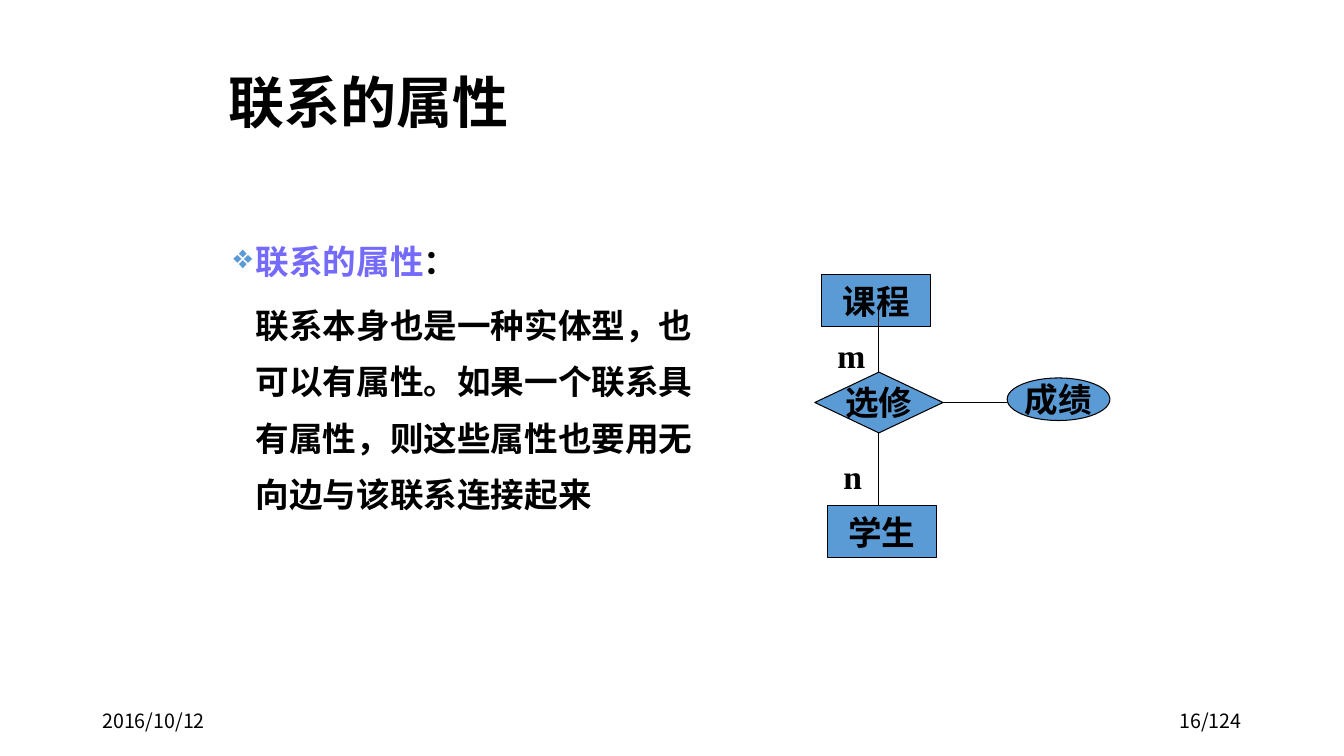
from dataclasses import dataclass
from lxml.etree import SubElement as Sub
from pptx import Presentation
from pptx.dml.color import RGBColor as RGB
from pptx.enum.shapes import MSO_CONNECTOR as LINK, MSO_SHAPE as SHAPE
from pptx.enum.text import MSO_ANCHOR as ANCHOR, PP_ALIGN as ALIGN
from pptx.oxml.ns import qn
from pptx.util import Pt


@dataclass(frozen=True)
class Theme:
    ink: RGB = RGB(0, 0, 0)
    blue: RGB = RGB(0x5B, 0x9B, 0xD5)
    violet: RGB = RGB(0x74, 0x6A, 0xFC)
    sans: str = "Noto Sans CJK SC"
    serif: str = "Times New Roman"
    head: int = 40
    body: int = 24
    foot: int = 14
    line: float = 0.75


class Deck:
    """Draws styled elements on the current slide."""

    def __init__(self, theme):
        self.theme = theme
        self.file = Presentation()
        self.file.slide_width, self.file.slide_height = Pt(960), Pt(540)
        self.slide = self.file.slides.add_slide(self.file.slide_layouts[6])

    def style(self, para, size, face, bold, align=ALIGN.LEFT):
        para.alignment = align
        font = para.font
        font.size, font.name, font.bold = Pt(size), face, bold
        font.color.rgb = self.theme.ink
        base = para._p.get_or_add_pPr().find(qn("a:defRPr"))
        Sub(base, qn("a:ea"), typeface=self.theme.sans)

    def text(self, words, box, size, face, bold=True, align=ALIGN.LEFT):
        frame = self.slide.shapes.add_textbox(*map(Pt, box)).text_frame
        frame.word_wrap = True
        frame.vertical_anchor = ANCHOR.MIDDLE
        para = frame.paragraphs[0]
        para.text = words
        self.style(para, size, face, bold, align)

    def node(self, kind, words, box):
        shape = self.slide.shapes.add_shape(kind, *map(Pt, box))
        shape.shadow.inherit = False
        shape.fill.solid()
        shape.fill.fore_color.rgb = self.theme.blue
        shape.line.color.rgb = self.theme.ink
        shape.line.width = Pt(self.theme.line)
        frame = shape.text_frame
        frame.word_wrap = False
        frame.vertical_anchor = ANCHOR.MIDDLE
        para = frame.paragraphs[0]
        para.text = words
        self.style(para, self.theme.body, self.theme.serif, True, ALIGN.CENTER)

    def link(self, *ends):
        line = self.slide.shapes.add_connector(LINK.STRAIGHT, *map(Pt, ends))
        line.line.color.rgb = self.theme.ink
        line.line.width = Pt(self.theme.line)
        Sub(line._element.spPr, qn("a:effectLst"))

    def prose(self, term, colon, words, box):
        frame = self.slide.shapes.add_textbox(*map(Pt, box)).text_frame
        frame.word_wrap = True
        lead, rest = frame.paragraphs[0], frame.add_paragraph()
        for part, color in ((term, self.theme.violet), (colon, self.theme.ink)):
            run = lead.add_run()
            run.text = part
            run.font.color.rgb = color
        rest.text = words
        for para, indent in ((lead, -16), (rest, 0)):
            para.line_spacing, para.space_before = Pt(40.25), Pt(5.5)
            self.style(para, self.theme.body, self.theme.serif, True)
            props = para._p.get_or_add_pPr()
            props.set("marL", str(Pt(36)))
            props.set("indent", str(Pt(indent)))
        props = lead._p.get_or_add_pPr()
        color = Sub(Sub(props, qn("a:buClr")), qn("a:srgbClr"))
        color.set("val", str(self.theme.blue))
        Sub(props, qn("a:buChar"), char="❖")
        props.append(props.find(qn("a:defRPr")))


theme = Theme()
deck = Deck(theme)
deck.text("2016/10/12", (66, 500.4, 216, 28.8), theme.foot, theme.sans, False)
deck.text("16/124", (678, 500.4, 216, 28.8), theme.foot, theme.sans, False, ALIGN.RIGHT)
deck.text("联系的属性", (156.24, 41, 648, 62), theme.head, theme.sans)

deck.node(SHAPE.RECTANGLE, "课程", (586.8, 196.4, 78, 36.8))
deck.node(SHAPE.DIAMOND, "选修", (582, 265.8, 91.6, 43.4))
deck.node(SHAPE.RECTANGLE, "学生", (591, 361.4, 78, 36.8))
deck.link(627.8, 265.8, 627.8, 222.4)
deck.link(627.8, 309.4, 627.8, 361.4)
for mark, left, top in (("m", 591, 235.4), ("n", 595.4, 322.4)):
    deck.text(mark, (left, top, 23, 36), theme.body, theme.serif)
deck.node(SHAPE.OVAL, "成绩", (719.4, 270, 73.4, 30.4))
deck.link(673.8, 287.4, 719.4, 287.4)

deck.prose(
    "联系的属性", "：",
    "联系本身也是一种实体型，也可以有属性。如果一个联系具有属性，则这些属性也要用无向边与该联系连接起来",
    (139.6, 157, 380, 245.6),
)
deck.file.save("out.pptx")
